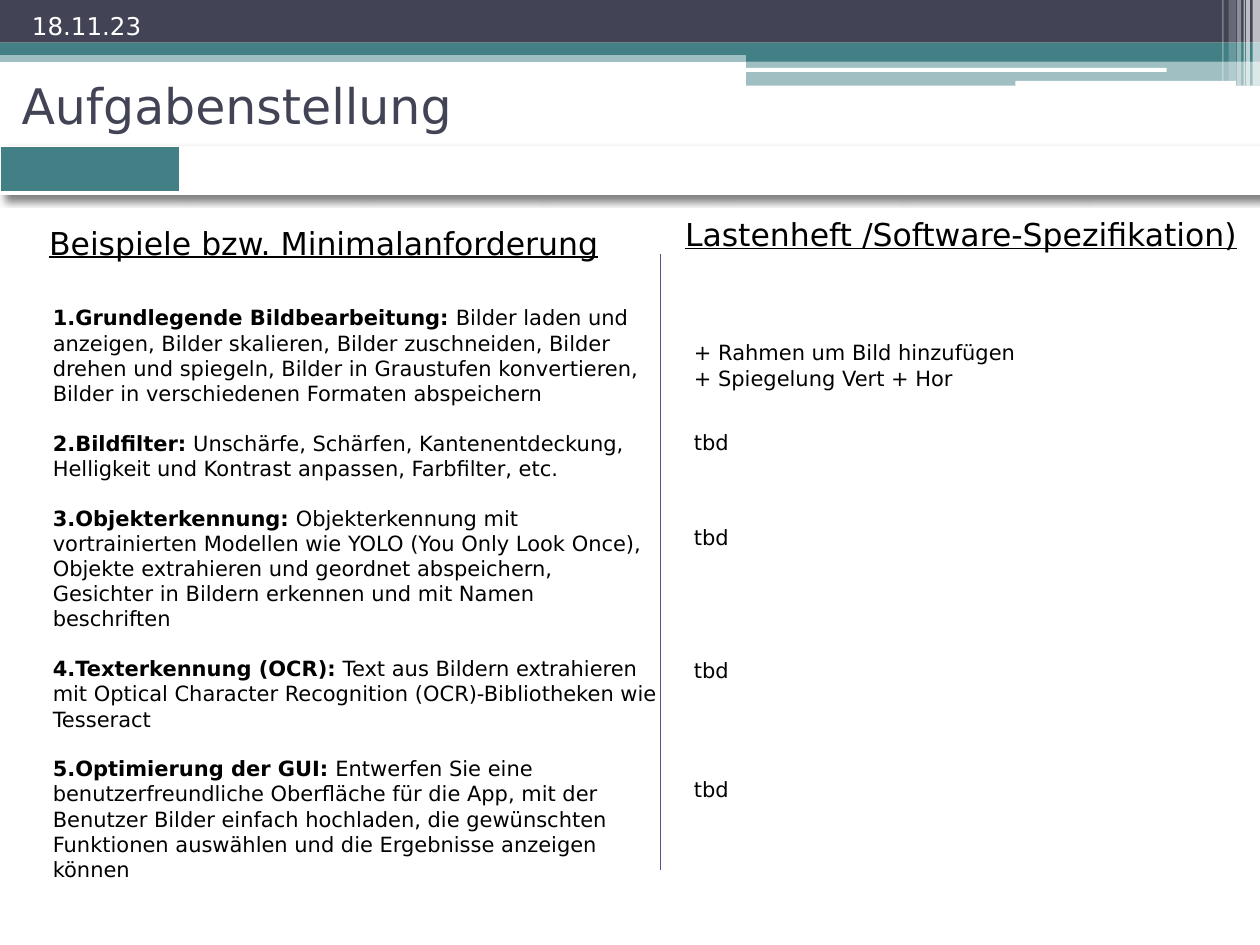
from lxml import etree
from pptx import Presentation, util as u
from pptx.dml.color import RGBColor
from pptx.enum import shapes as sh, text as tx
from pptx.oxml import parse_xml
from pptx.oxml.ns import nsdecls, qn

HUE = {"dark": "424456", "teal": "438086", "white": "FFFFFF", "black": "000000", "rule": "53548A"}
FONT = "DejaVu Sans"
WIDE, HIGH = 25.4, 19.05

# left, top, width, height (cm), colour, opacity in percent
BANDS = [
    (0, 1.02, WIDE, 0.23, "teal", 50),
    (0, 0, WIDE, 0.86, "dark", 100),
    (0, 0.86, WIDE, 0.25, "teal", 100),
    (15.04, 0.99, 10.36, 0.25, "teal", 100),
    (15.04, 1.22, 10.36, 0.51, "teal", 50),
]
PILLS = [(15.01, 1.37, 8.51, 0.08, "white", 100), (20.47, 1.63, 4.45, 0.1, "white", 100)]
# left, width, height, opacity
STRIPES = [(25.25, 0.15, 1.73, 65), (25.12, 0.08, 1.73, 65), (25.07, 0.03, 1.73, 60),
           (24.94, 0.08, 1.73, 40), (24.77, 0.15, 1.63, 20), (24.64, 0.03, 1.63, 30)]

TITLE = "Aufgabenstellung"
DATE = "18.11.23"
HEADS = [((0.74, 4.39, 12.14, 1.02), "Beispiele bzw. Minimalanforderung"),
         ((13.56, 4.22, 12.42, 1.02), "Lastenheft /Software-Spezifikation)")]
TASKS = [
    ("Grundlegende Bildbearbeitung:",
     "Bilder laden und anzeigen, Bilder skalieren, Bilder zuschneiden, Bilder drehen und spiegeln, "
     "Bilder in Graustufen konvertieren, Bilder in verschiedenen Formaten abspeichern"),
    ("Bildfilter:",
     "Unschärfe, Schärfen, Kantenentdeckung, Helligkeit und Kontrast anpassen, Farbfilter, etc."),
    ("Objekterkennung:",
     "Objekterkennung mit vortrainierten Modellen wie YOLO (You Only Look Once), Objekte extrahieren "
     "und geordnet abspeichern, Gesichter in Bildern erkennen und mit Namen beschriften"),
    ("Texterkennung (OCR):",
     "Text aus Bildern extrahieren mit Optical Character Recognition (OCR)-Bibliotheken wie Tesseract"),
    ("Optimierung der GUI:",
     "Entwerfen Sie eine benutzerfreundliche Oberfläche für die App, mit der Benutzer Bilder einfach "
     "hochladen, die gewünschten Funktionen auswählen und die Ergebnisse anzeigen können"),
]
# top, height, text
NOTES = [(6.73, 1.27, "+ Rahmen um Bild hinzufügen\n+ Spiegelung Vert + Hor"),
         (8.53, 0.76, "tbd"), (10.44, 0.76, "tbd"), (13.13, 0.76, "tbd"), (15.52, 0.76, "tbd")]


def cm(*nums):
    return [u.Cm(n) for n in nums]


def rgb(name):
    return RGBColor.from_string(HUE[name])


def style(run, size, hue="black", bold=False, line=False):
    font = run.font
    font.name, font.size = FONT, u.Pt(size)
    font.bold, font.underline = bold, line
    font.color.rgb = rgb(hue)


def place(shape, box):
    shape.left, shape.top, shape.width, shape.height = cm(*box)


def bar(slide, box, hue, alpha, kind=sh.MSO_SHAPE.RECTANGLE):
    shape = slide.shapes.add_shape(kind, *cm(*box))
    shape.shadow.inherit = False
    shape.line.fill.background()
    shape.fill.solid()
    shape.fill.fore_color.rgb = rgb(hue)
    if alpha < 100:
        tone = shape.fill._xPr.find(".//" + qn("a:srgbClr"))
        etree.SubElement(tone, qn("a:alpha"), val=str(alpha * 1000))


def label(slide, box, words, size, hue="black", line=False):
    frame = slide.shapes.add_textbox(*cm(*box)).text_frame
    frame.word_wrap = True
    frame.text = words
    for para in frame.paragraphs:
        for run in para.runs:
            style(run, size, hue, line=line)
    return frame


def header(slide):
    for *box, hue, alpha in BANDS:
        bar(slide, box, hue, alpha)
    for *box, hue, alpha in PILLS:
        bar(slide, box, hue, alpha, sh.MSO_SHAPE.ROUNDED_RECTANGLE)
    for left, width, height, alpha in STRIPES:
        bar(slide, (left, 0, width, height), "white", alpha)
    frame = label(slide, (0.18, -0.08, 2.92, 1.02), DATE, 14, "white")
    frame.vertical_anchor = tx.MSO_ANCHOR.BOTTOM
    frame.paragraphs[0].alignment = tx.PP_ALIGN.RIGHT

    title = slide.shapes.title
    place(title, (0.18, 1.32, 22.86, 1.6))
    title.text_frame.text = TITLE
    title.text_frame.vertical_anchor = tx.MSO_ANCHOR.MIDDLE
    para = title.text_frame.paragraphs[0]
    para.alignment = tx.PP_ALIGN.LEFT
    style(para.runs[0], 28, "dark")


def progress(slide):
    """Seven-cell strip with the first step coloured and a soft shadow."""
    table = slide.shapes.add_table(1, 7, *cm(0, 2.95, WIDE, 0.94)).table
    for num, cell in enumerate(table.rows[0].cells):
        cell.margin_top = cell.margin_bottom = 0
        cell.fill.solid()
        cell.fill.fore_color.rgb = rgb("white" if num else "teal")
        for pos, (side, wide) in enumerate(zip("LRTB", (1, 1, 1, 3))):
            edge = parse_xml(
                f'<a:ln{side} {nsdecls("a")} w="{u.Pt(wide)}"><a:solidFill>'
                f'<a:srgbClr val="{HUE["white"]}"/></a:solidFill></a:ln{side}>')
            cell._tc.tcPr.insert(pos, edge)
    table._tbl.tblPr.insert(0, parse_xml(
        f'<a:effectLst {nsdecls("a")}><a:outerShdw blurRad="50800" dist="50800" dir="2700000">'
        '<a:srgbClr val="000000"><a:alpha val="50000"/></a:srgbClr></a:outerShdw></a:effectLst>'))


def tasks(slide):
    body = slide.placeholders[1]
    place(body, (0.81, 6.02, 12.7, 12.07))
    frame = body.text_frame
    frame.auto_size = tx.MSO_AUTO_SIZE.NONE
    for num, (head, rest) in enumerate(TASKS):
        para = frame.add_paragraph() if num else frame.paragraphs[0]
        props = para._p.get_or_add_pPr()
        props.set("marL", "0")
        props.set("indent", "0")
        etree.SubElement(props, qn("a:buFont"), typeface=FONT)
        etree.SubElement(props, qn("a:buAutoNum"), type="arabicPeriod")
        para.space_before = u.Pt(14 if num else 0)
        for words, bold in ((head, True), (" " + rest, False)):
            run = para.add_run()
            run.text = words
            style(run, 12, bold=bold)


def main():
    prs = Presentation()
    prs.slide_width, prs.slide_height = cm(WIDE, HIGH)
    slide = prs.slides.add_slide(prs.slide_layouts[1])
    header(slide)
    progress(slide)
    tasks(slide)
    for box, words in HEADS:
        label(slide, box, words, 18, line=True)
    for top, height, words in NOTES:
        label(slide, (13.74, top, 9.53, height), words, 12)
    rule = slide.shapes.add_connector(sh.MSO_CONNECTOR.STRAIGHT, *cm(13.31, 5.13, 13.31, 17.53))
    rule.line.color.rgb = rgb("rule")
    rule.line.width = u.Pt(0.75)
    etree.SubElement(rule._element.spPr, qn("a:effectLst"))
    prs.save("out.pptx")


if __name__ == "__main__":
    main()
